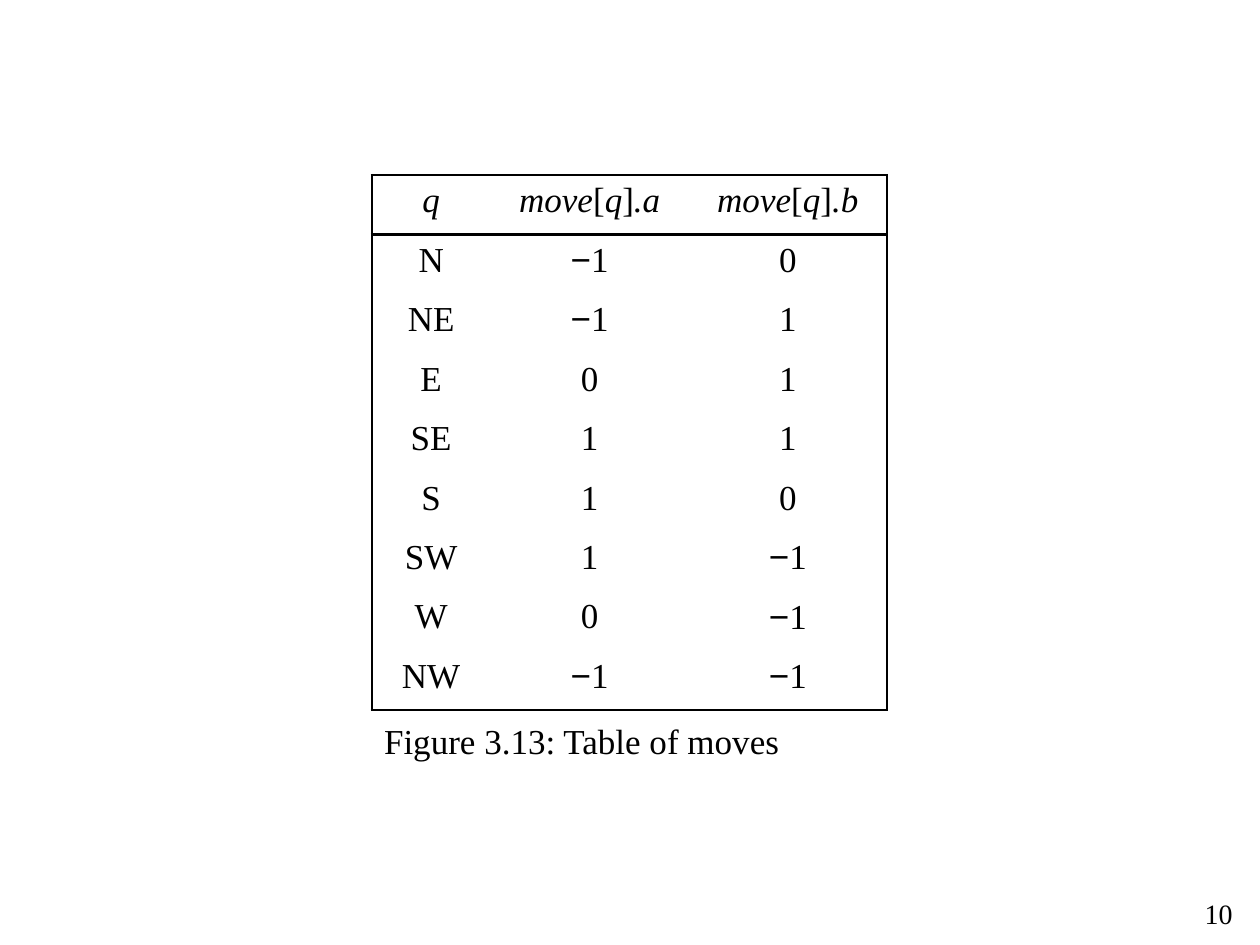
"""Build a slide with a ruled table of compass moves, its caption and a page number."""
from dataclasses import dataclass
from typing import Any

from lxml import etree
from pptx import Presentation
from pptx import util as u
from pptx.dml.color import RGBColor
from pptx.enum import text
from pptx.oxml import ns


@dataclass(frozen=True)
class Theme:
    serif: str = "Times New Roman"
    sans: str = "Arial"
    ink: str = "000000"
    body: float = 20
    small: float = 16
    rule: float = 1.5


@dataclass(frozen=True)
class Run:
    content: str
    font: str
    italic: bool = False


@dataclass(frozen=True)
class Label:
    content: str
    left: float
    top: float
    width: float
    height: float
    size: float
    alignment: Any
    anchor: Any


THEME = Theme()
LEFT, TOP = 212.4, 100
COLUMN_WIDTHS = (68, 113.2, 113.2)
ROW_HEIGHT = 34
MOVES = (
    ("N", -1, 0), ("NE", -1, 1), ("E", 0, 1), ("SE", 1, 1),
    ("S", 1, 0), ("SW", 1, -1), ("W", 0, -1), ("NW", -1, -1),
)
ROW_COUNT = len(MOVES) + 1
TABLE_WIDTH = sum(COLUMN_WIDTHS)
TABLE_HEIGHT = ROW_COUNT * ROW_HEIGHT
LABELS = (
    Label("Figure 3.13: Table of moves", LEFT, TOP + TABLE_HEIGHT, TABLE_WIDTH, ROW_HEIGHT,
          THEME.body, text.PP_ALIGN.LEFT, text.MSO_ANCHOR.MIDDLE),
    Label("10", 666, 508.5, 45.4, 23,
          THEME.small, text.PP_ALIGN.RIGHT, text.MSO_ANCHOR.TOP),
)


def apply(target: Any, values: dict[str, Any]) -> None:
    """Set each named attribute on the target."""
    for name, value in values.items():
        setattr(target, name, value)


def header_runs(field: str) -> list[Run]:
    """Return the runs of a heading such as move[q].a."""
    parts = (("move", True), ("[", False), ("q", True), ("]", False), (f".{field}", True))
    return [Run(content, THEME.serif, italic) for content, italic in parts]


def value_runs(value: int | str) -> list[Run]:
    """Return the runs of a direction or a step, with a sans minus sign."""
    if isinstance(value, int) and value < 0:
        return [Run("−", THEME.sans), Run(str(-value), THEME.serif)]
    return [Run(str(value), THEME.serif)]


def write(paragraph: Any, runs: list[Run], size: float, alignment: Any) -> None:
    """Write styled runs into a paragraph."""
    paragraph.alignment = alignment
    for item in runs:
        run = paragraph.add_run()
        run.text = item.content
        apply(run.font, {"name": item.font, "size": u.Pt(size), "bold": False, "italic": item.italic})
        run.font.color.rgb = RGBColor.from_string(THEME.ink)


def rule_cell(cell: Any, ruled: dict[str, bool]) -> None:
    """Draw the ruled sides of a cell and clear the others."""
    properties = cell._tc.get_or_add_tcPr()
    for index, (side, visible) in enumerate(ruled.items()):
        line = etree.Element(ns.qn(f"a:ln{side}"), w=str(u.Pt(THEME.rule)))
        fill = etree.SubElement(line, ns.qn("a:solidFill" if visible else "a:noFill"))
        if visible:
            etree.SubElement(fill, ns.qn("a:srgbClr"), val=THEME.ink)
        properties.insert(index, line)


def draw_table(slide: Any) -> None:
    """Draw the table of moves."""
    table = slide.shapes.add_table(
        ROW_COUNT, len(COLUMN_WIDTHS),
        u.Pt(LEFT), u.Pt(TOP), u.Pt(TABLE_WIDTH), u.Pt(TABLE_HEIGHT)).table
    apply(table, {"first_row": False, "horz_banding": False})
    for column, width in zip(table.columns, COLUMN_WIDTHS):
        column.width = u.Pt(width)
    header = [[Run("q", THEME.serif, True)], header_runs("a"), header_runs("b")]
    rows = [header] + [[value_runs(value) for value in move] for move in MOVES]
    for row_index, row in enumerate(rows):
        table.rows[row_index].height = u.Pt(ROW_HEIGHT)
        for column_index, runs in enumerate(row):
            cell = table.cell(row_index, column_index)
            apply(cell, {
                "margin_left": u.Pt(11.5), "margin_right": u.Pt(11.5),
                "margin_top": u.Pt(3.6), "margin_bottom": u.Pt(3.6),
                "vertical_anchor": text.MSO_ANCHOR.TOP,
            })
            cell.fill.background()
            rule_cell(cell, {
                "L": column_index == 0,
                "R": column_index == len(row) - 1,
                "T": row_index <= 1,
                "B": row_index in (0, ROW_COUNT - 1),
            })
            write(cell.text_frame.paragraphs[0], runs, THEME.body, text.PP_ALIGN.CENTER)


def draw_label(slide: Any, label: Label) -> None:
    """Draw one line of text in a box."""
    box = slide.shapes.add_textbox(
        u.Pt(label.left), u.Pt(label.top), u.Pt(label.width), u.Pt(label.height))
    apply(box.text_frame, {"word_wrap": True, "vertical_anchor": label.anchor})
    write(box.text_frame.paragraphs[0], [Run(label.content, THEME.serif)], label.size, label.alignment)


def main() -> None:
    """Build and save the presentation."""
    presentation = Presentation()
    apply(presentation, {"slide_width": u.Pt(720), "slide_height": u.Pt(540)})
    slide = presentation.slides.add_slide(presentation.slide_layouts[6])
    draw_table(slide)
    for label in LABELS:
        draw_label(slide, label)
    presentation.save("out.pptx")


if __name__ == "__main__":
    main()
